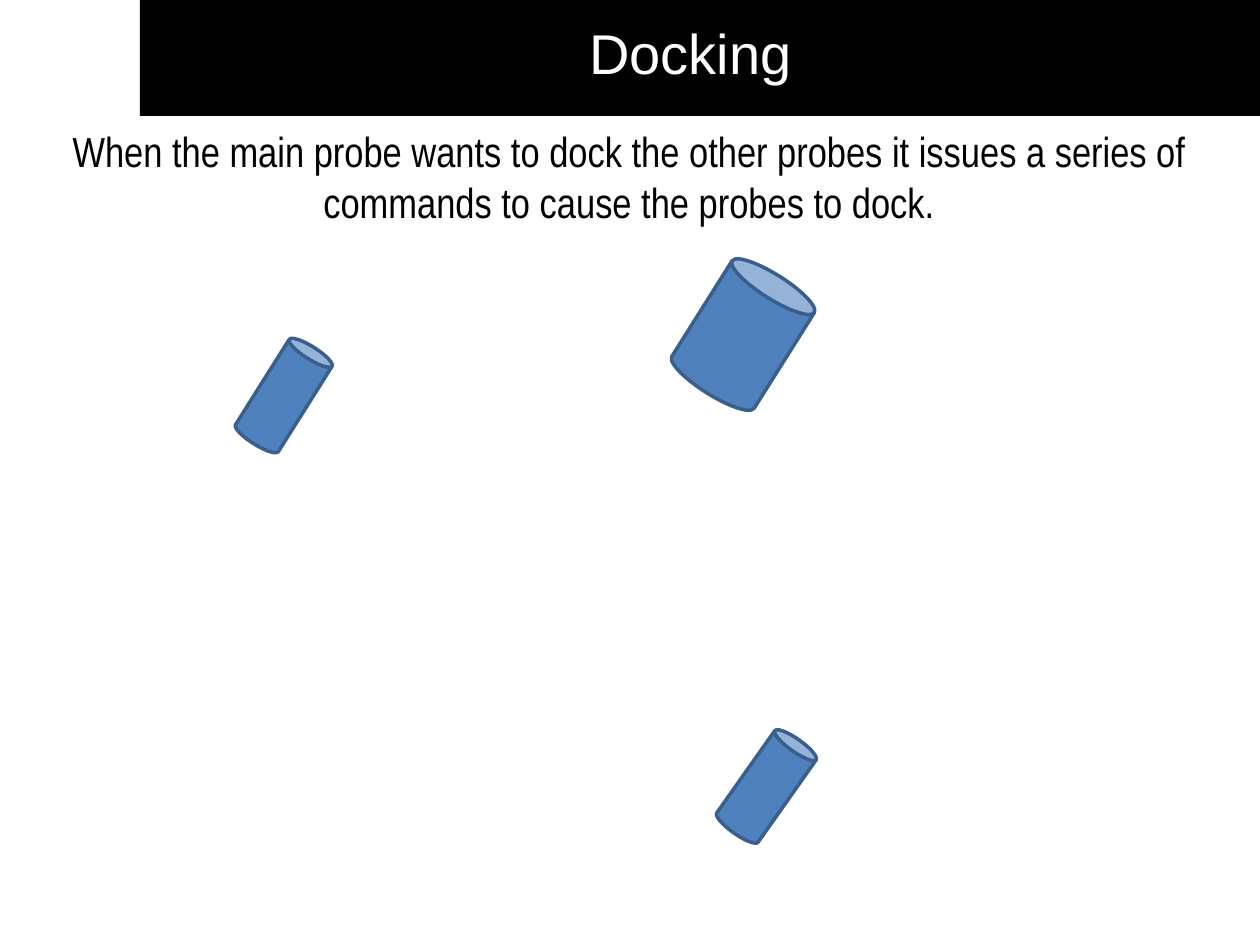
"""Build the Docking slide: a title band, a sentence and three drifting probes."""
from dataclasses import dataclass

from pptx import Presentation
from pptx.dml.color import RGBColor
from pptx.enum.shapes import MSO_SHAPE
from pptx.enum.text import MSO_AUTO_SIZE, PP_ALIGN
from pptx.slide import Slide
from pptx.util import Cm, Pt

RECTANGLE = MSO_SHAPE.RECTANGLE
CAN = MSO_SHAPE.CAN
CENTER = PP_ALIGN.CENTER
GROW = MSO_AUTO_SIZE.SHAPE_TO_FIT_TEXT


@dataclass(frozen=True)
class Theme:
    black: RGBColor = RGBColor(0x00, 0x00, 0x00)
    white: RGBColor = RGBColor(0xFF, 0xFF, 0xFF)
    probe_fill: RGBColor = RGBColor(0x4F, 0x81, 0xBD)
    probe_line: RGBColor = RGBColor(0x3A, 0x5F, 0x8C)
    title_font: str = "Arial"
    body_font: str = "Arial Narrow"
    title_size: int = 32
    body_size: int = 24
    line_width: int = 2


@dataclass(frozen=True)
class Area:
    left: float
    top: float
    width: float
    height: float

    def lengths(self) -> tuple[Cm, Cm, Cm, Cm]:
        return Cm(self.left), Cm(self.top), Cm(self.width), Cm(self.height)


@dataclass(frozen=True)
class Label:
    area: Area
    text: str
    font: str
    size: int
    color: RGBColor


@dataclass(frozen=True)
class Probe:
    area: Area
    rotation: float


THEME = Theme()
TITLE_BAND = Area(2.82, 0, 22.58, 2.34)
LABELS = (
    Label(Area(2.44, 0.25, 22.96, 1.63), "Docking",
          THEME.title_font, THEME.title_size, THEME.white),
    Label(Area(0, 2.41, 25.35, 2.31),
          "When the main probe wants to dock the other probes it issues "
          "a series of commands to cause the probes to dock.",
          THEME.body_font, THEME.body_size, THEME.black),
)
PROBES = (
    Probe(Area(14, 5.36, 1.96, 2.77), 32.2),
    Probe(Area(14.94, 14.71, 1.02, 2.29), 35.2),
    Probe(Area(5.21, 6.83, 1.02, 2.29), 32.2),
)


def draw_band(page: Slide, area: Area) -> None:
    band = page.shapes.add_shape(RECTANGLE, *area.lengths())
    band.shadow.inherit = False
    band.fill.solid()
    band.fill.fore_color.rgb = THEME.black
    band.line.fill.background()


def draw_label(page: Slide, label: Label) -> None:
    box = page.shapes.add_textbox(*label.area.lengths())
    frame = box.text_frame
    frame.word_wrap = True
    frame.auto_size = GROW
    para = frame.paragraphs[0]
    para.alignment = CENTER
    span = para.add_run()
    span.text = label.text
    span.font.name = label.font
    span.font.size = Pt(label.size)
    span.font.color.rgb = label.color


def draw_probe(page: Slide, probe: Probe) -> None:
    can = page.shapes.add_shape(CAN, *probe.area.lengths())
    can.shadow.inherit = False
    can.rotation = probe.rotation
    can.fill.solid()
    can.fill.fore_color.rgb = THEME.probe_fill
    can.line.color.rgb = THEME.probe_line
    can.line.width = Pt(THEME.line_width)


def main() -> None:
    deck = Presentation()
    deck.slide_width, deck.slide_height = Cm(25.4), Cm(19.05)
    page = deck.slides.add_slide(deck.slide_layouts[6])
    draw_band(page, TITLE_BAND)
    for label in LABELS:
        draw_label(page, label)
    for probe in PROBES:
        draw_probe(page, probe)
    deck.save("out.pptx")


if __name__ == "__main__":
    main()
